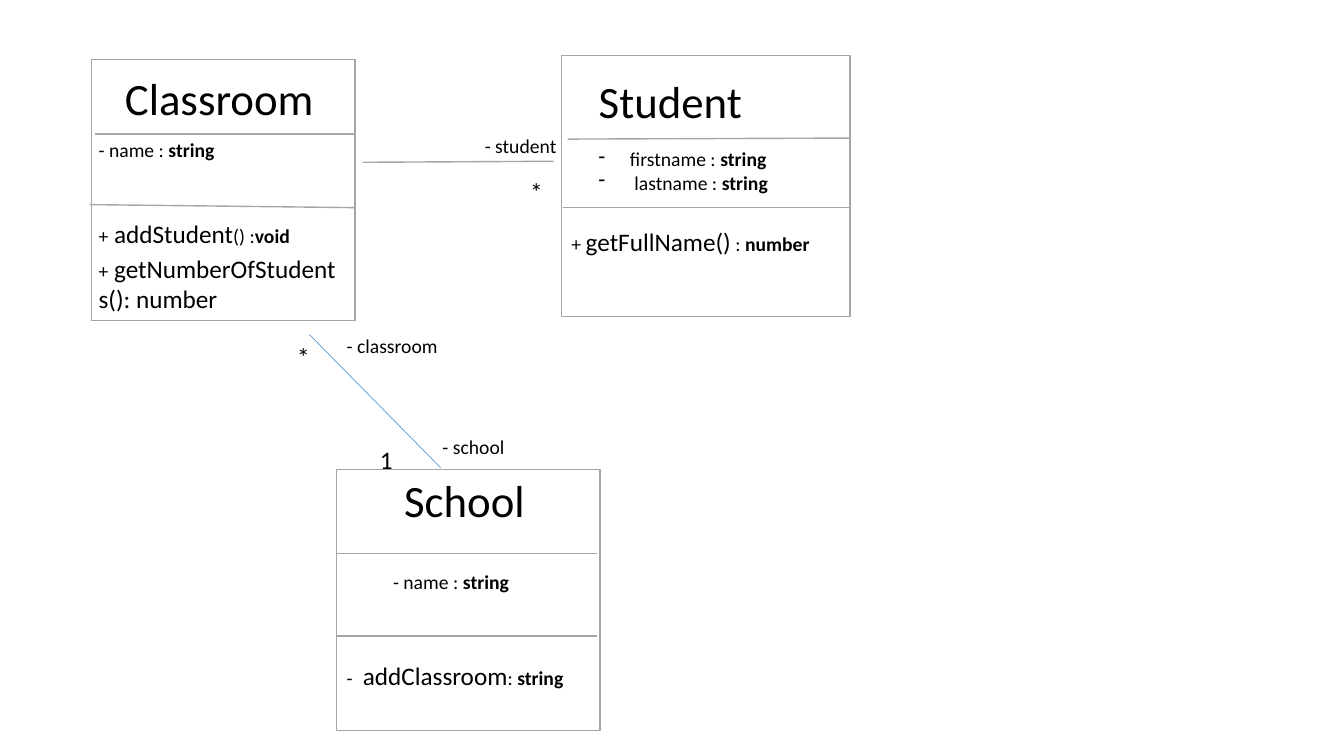
"""Build a class diagram slide linking Classroom, Student and School."""
from dataclasses import dataclass

import pptx
import pptx.dml.color
import pptx.enum.shapes
import pptx.enum.text
import pptx.oxml
import pptx.oxml.ns
import pptx.util
from pptx.util import Inches


@dataclass(frozen=True)
class Theme:
    font: str = "Calibri"
    ink: str = "000000"
    paper: str = "FFFFFF"
    border: str = "A5A5A5"
    divider: str = "A6A6A6"
    link: str = "5B9BD5"
    title: int = 32
    method: int = 18
    small: int = 14


theme = Theme()
namespace = pptx.oxml.ns.nsdecls("a")
hard_space = chr(160)


def add_span(para, text, size=theme.small, bold=False, color=theme.ink):
    span = para.add_run()
    span.text = text
    span.font.name = theme.font
    span.font.size = pptx.util.Pt(size)
    span.font.bold = bold
    span.font.color.rgb = pptx.dml.color.RGBColor.from_string(color)


def add_label(at, *lines, wrap=True, bullet=None):
    box = slide.shapes.add_textbox(*map(Inches, at))
    frame = box.text_frame
    frame.word_wrap = wrap
    frame.auto_size = pptx.enum.text.MSO_AUTO_SIZE.SHAPE_TO_FIT_TEXT
    for number, line in enumerate(lines):
        para = frame.add_paragraph() if number else frame.paragraphs[0]
        for text, style in line:
            add_span(para, text, **style)
        if bullet:
            properties = para._p.get_or_add_pPr()
            properties.set("marL", str(Inches(0.31)))
            properties.set("indent", str(Inches(-0.31)))
            for mark in ("buFontTx", f'buChar char="{bullet}"'):
                properties.append(pptx.oxml.parse_xml(f"<a:{mark} {namespace}/>"))
            para._p.append(pptx.oxml.parse_xml(
                f'<a:endParaRPr {namespace} sz="{theme.small * 100}"/>'))


deck = pptx.Presentation()
deck.slide_width = Inches(13.33)
deck.slide_height = Inches(7.5)
slide = deck.slides.add_slide(deck.slide_layouts[6])

class_boxes = [(0.91, 0.59, 2.61), (5.57, 0.55, 2.86), (3.34, 4.66, 2.61)]
for left, top, width in class_boxes:
    class_box = slide.shapes.add_shape(
        pptx.enum.shapes.MSO_SHAPE.RECTANGLE,
        Inches(left), Inches(top), Inches(width), Inches(2.59))
    class_box.shadow.inherit = False
    class_box.fill.solid()
    class_box.fill.fore_color.rgb = pptx.dml.color.RGBColor.from_string(theme.paper)
    class_box.line.color.rgb = pptx.dml.color.RGBColor.from_string(theme.border)
    class_box.line.width = pptx.util.Pt(1)

lines = [
    ((0.94, 1.33, 3.52, 1.33), theme.divider, 1),
    ((0.89, 2.03, 3.52, 2.06), theme.divider, 1),
    ((5.63, 1.38, 8.43, 1.37), theme.divider, 1),
    ((5.58, 2.06, 8.43, 2.06), theme.divider, 1),
    ((3.34, 5.49, 5.92, 5.49), theme.divider, 1),
    ((3.34, 6.31, 5.92, 6.31), theme.divider, 1),
    ((3.6, 1.61, 5.49, 1.6), theme.divider, 1),
    ((3.07, 3.32, 4.37, 4.64), theme.link, 0.5),
]
for ends, color, weight in lines:
    connector = slide.shapes.add_connector(
        pptx.enum.shapes.MSO_CONNECTOR.STRAIGHT, *map(Inches, ends))
    connector.line.color.rgb = pptx.dml.color.RGBColor.from_string(color)
    connector.line.width = pptx.util.Pt(weight)
    connector._element.spPr.append(pptx.oxml.parse_xml(f"<a:effectLst {namespace}/>"))

title = {"size": theme.title}
method = {"size": theme.method}
small = {"size": theme.small}
strong = {"size": theme.small, "bold": True}

add_label((1.14, 0.65, 2.09, 0.64), [("Classroom", title)], wrap=False)
add_label((5.84, 0.68, 1.64, 0.64), [("Student", title)], wrap=False)
add_label((3.91, 4.64, 1.41, 0.64), [("School", title)], wrap=False)

add_label((0.88, 1.32, 1.36, 0.34), [("- name : ", small), ("string", strong)], wrap=False)
add_label((3.8, 5.61, 1.36, 0.34), [("- name : ", small), ("string", strong)])
add_label((5.84, 1.41, 2.6, 0.81),
          [("firstname : ", small), ("string", strong)],
          [(" lastname : ", small), ("string", strong)], bullet="-")

add_label((0.88, 2.12, 2.62, 0.4),
          [("+", small), (hard_space + "addStudent", method), ("() :", small), ("void", strong)])
add_label((0.88, 2.46, 2.62, 0.71),
          [("+", small), (hard_space + "getNumberOfStudents(): number", method)])
add_label((5.57, 2.2, 2.87, 0.4),
          [("+ ", small), ("getFullName()", method), (" : ", small), ("number", strong)])
add_label((3.34, 6.5, 2.61, 0.4),
          [("- ", small), (hard_space + "addClassroom", method), (": ", small), ("string", strong)])

link_labels = [
    ((4.71, 1.28, 0.93, 0.34), "- student", small),
    ((5.16, 1.7, 0.33, 0.4), "*", method),
    ((3.34, 3.26, 1.13, 0.34), "- classroom", small),
    ((2.85, 3.34, 0.37, 0.4), "*", method),
    ((4.29, 4.27, 0.93, 0.34), "- school", small),
    ((3.67, 4.36, 0.37, 0.4), "1", method),
]
for at, text, style in link_labels:
    add_label(at, [(text, style)])

deck.save("out.pptx")
